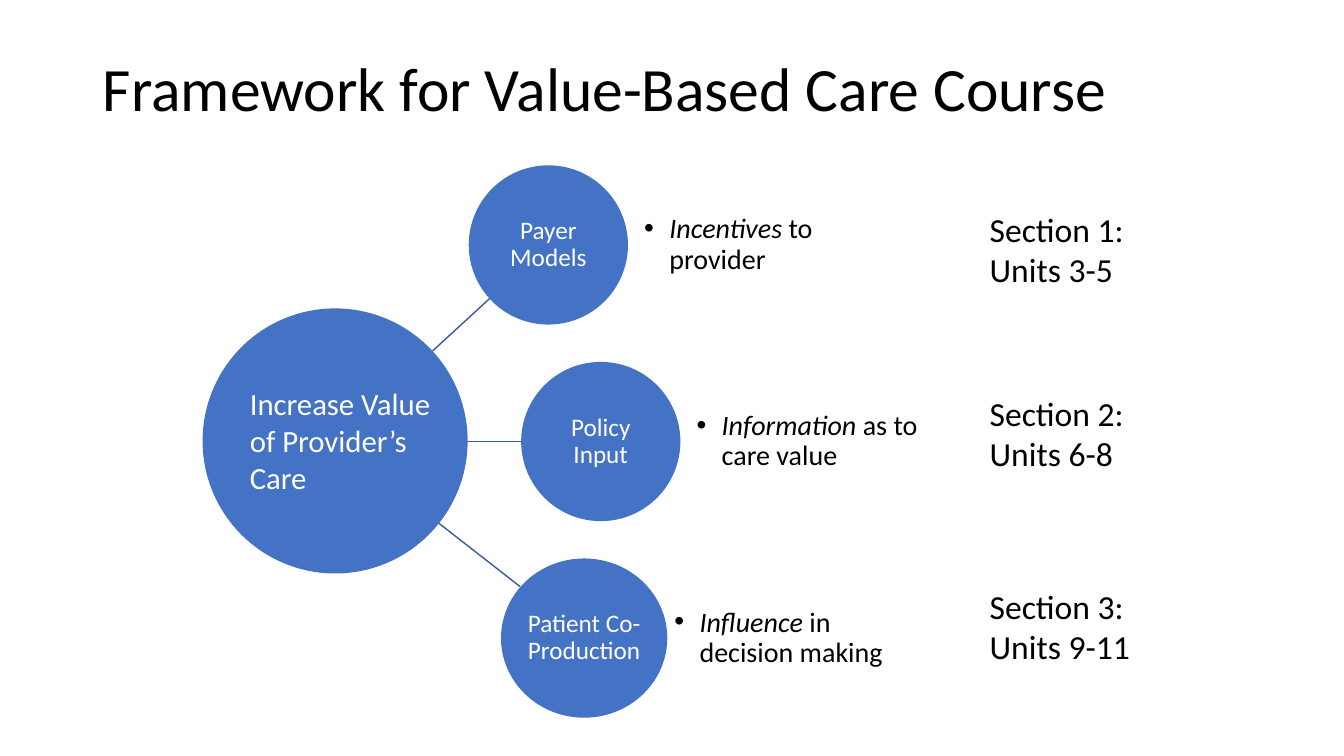
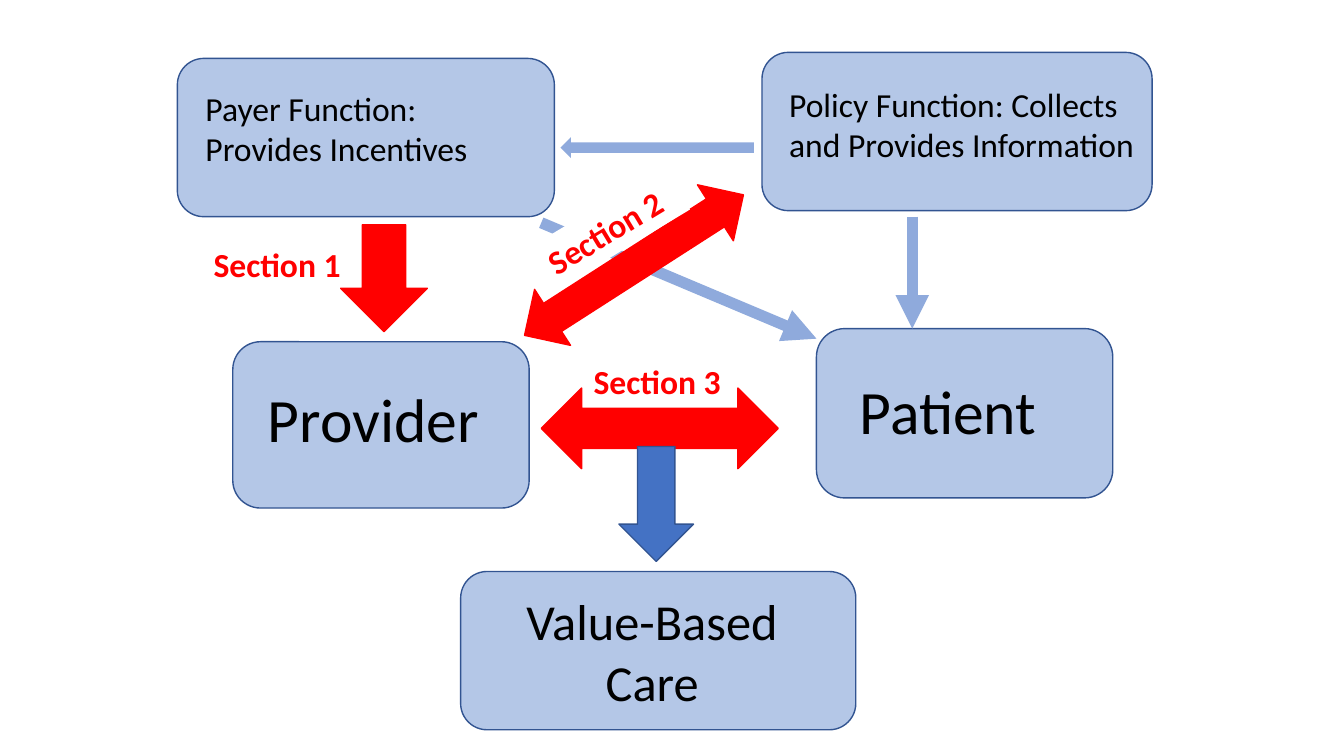
from lxml.etree import SubElement
from pptx import Presentation
from pptx.dml.color import RGBColor
from pptx.enum.shapes import MSO_CONNECTOR, MSO_SHAPE
from pptx.enum.text import MSO_ANCHOR, MSO_AUTO_SIZE, PP_ALIGN
from pptx.oxml.ns import qn
from pptx.util import Inches, Pt

BLACK, WHITE, RED = "000000", "FFFFFF", "FF0000"
BLUE, PALE, MID = "4472C4", "B4C7E7", "8FAADC"
EDGE, SPOKE = "325491", "365B9D"


def tint(code):
    return RGBColor.from_string(code)


def write(frame, text, size=24, color=BLACK, bold=False, lead="",
          align=PP_ALIGN.LEFT, anchor=MSO_ANCHOR.TOP, space=1.0,
          pad=None, bullet=False):
    frame.word_wrap = True
    frame.auto_size = MSO_AUTO_SIZE.NONE
    frame.vertical_anchor = anchor
    if pad is not None:
        frame.margin_left = frame.margin_right = Inches(pad)
        frame.margin_top = frame.margin_bottom = Inches(pad)
    for num, line in enumerate(text.split("\n")):
        para = frame.add_paragraph() if num else frame.paragraphs[0]
        para.alignment = align
        para.line_spacing = space
        para.space_before = Pt(0)
        for part, slant in ((lead, True), (line, False)):
            if part:
                run = para.add_run()
                run.text = part
                font = run.font
                font.name, font.size = "Calibri", Pt(size)
                font.bold, font.italic = bold, slant
                font.color.rgb = tint(color)
        if bullet:
            props = para._p.get_or_add_pPr()
            props.set("marL", str(Inches(0.25)))
            props.set("indent", str(Inches(-0.25)))
            SubElement(props, qn("a:buChar")).set("char", "•")


class Deck:
    def __init__(self):
        self.show = Presentation()
        self.show.slide_width = Inches(40) // 3
        self.show.slide_height = Inches(7.5)
        self.slide = None

    def page(self, layout):
        layouts = self.show.slide_layouts
        self.slide = self.show.slides.add_slide(layouts.get_by_name(layout))

    def holder(self, key, spot, text, **form):
        item = next(h for h in self.slide.placeholders
                    if h.placeholder_format.idx == key)
        item.left, item.top, item.width, item.height = map(Inches, spot)
        write(item.text_frame, text, anchor=MSO_ANCHOR.MIDDLE, space=0.9, **form)

    def prune(self):
        for item in list(self.slide.placeholders):
            if not item.text_frame.text:
                item.element.getparent().remove(item.element)

    def shape(self, kind, spot, fill, edge=None, turn=0):
        item = self.slide.shapes.add_shape(kind, *map(Inches, spot))
        item.shadow.inherit = False
        item.rotation = turn
        item.fill.solid()
        item.fill.fore_color.rgb = tint(fill)
        if edge:
            item.line.color.rgb = tint(edge)
            item.line.width = Pt(1)
        else:
            item.line.fill.background()
        return item

    def label(self, spot, text, **form):
        item = self.slide.shapes.add_textbox(*map(Inches, spot))
        write(item.text_frame, text, **form)

    def line(self, start, end, color, width=1, arrow=False):
        item = self.slide.shapes.add_connector(
            MSO_CONNECTOR.STRAIGHT, *map(Inches, start + end))
        item.line.color.rgb = tint(color)
        item.line.width = Pt(width)
        if arrow:
            tail = SubElement(item.line._get_or_add_ln(), qn("a:tailEnd"))
            tail.set("type", "triangle")
        SubElement(item._element.spPr, qn("a:effectLst"))


def frame_page(deck):
    deck.page("Comparison")
    deck.holder(0, (0.92, 0.18, 11.5, 1.45),
                "Framework for Value-Based Care Course", size=44)
    high = 1.58
    nodes = [
        (1, 4.65, 1.58, "Payer Models", 6.39, 2.37, "Incentives",
         " to provider", 2.02, "Section 1:\nUnits 3-5"),
        (2, 5.17, 1.58, "Policy Input", 6.91, 2.37, "Information",
         " as to care value", 3.85, "Section 2:\nUnits 6-8"),
        (4, 4.97, 1.65, "Patient Co-Production", 6.69, 2.47, "Influence",
         " in decision making", 5.76, "Section 3:\nUnits 9-11"),
    ]
    for rise, end in ((5.11, (5.16, 5.82)), (4.38, (5.17, 4.38)),
                      (3.52, (4.86, 2.96))):
        deck.line((4.25, rise), end, SPOKE)
    deck.shape(MSO_SHAPE.OVAL, (2.01, 3.06, 2.63, 2.63), BLUE)
    deck.label((2.38, 3.77, 2.25, 1.21), "Increase Value of Provider’s Care",
               size=22, color=WHITE)
    for row, node in enumerate(nodes):
        key, left, wide, name, x, span, lead, rest, y, part = node
        top = 1.64 + 1.95 * row
        disc = deck.shape(MSO_SHAPE.OVAL, (left, top, wide, high), BLUE)
        write(disc.text_frame, name, size=18, color=WHITE, pad=0.01,
              align=PP_ALIGN.CENTER, anchor=MSO_ANCHOR.MIDDLE, space=0.9)
        deck.holder(key, (x, top, span, high), rest, lead=lead, size=20,
                    pad=0, bullet=True)
        deck.label((9.72, y, 2.33, 0.91), part)
    deck.prune()


def flow_page(deck):
    deck.page("Blank")
    cards = [
        ((7.56, 0.52, 3.87, 1.57), (7.73, 0.78, 3.78, 0.91),
         "Policy Function: Collects and Provides Information", 24),
        ((2.31, 3.39, 2.94, 1.65), (2.56, 3.73, 2.6, 0.84), "Provider", 44),
        ((8.1, 3.26, 2.94, 1.68), (8.43, 3.65, 2.6, 0.84), "Patient", 44),
        ((4.57, 5.67, 3.92, 1.57), (4.74, 5.81, 3.46, 1.31),
         "Value-Based Care", 36),
        ((1.76, 0.58, 3.74, 1.57), (1.94, 0.82, 3.82, 0.91),
         "Payer Function:\nProvides Incentives", 24),
    ]
    for card, spot, text, size in cards:
        deck.shape(MSO_SHAPE.ROUNDED_RECTANGLE, card, PALE, EDGE)
        align = PP_ALIGN.CENTER if size == 36 else PP_ALIGN.LEFT
        deck.label(spot, text, size=size, align=align)
    deck.line((9.05, 2.15), (9.05, 3.26), MID, 8, True)
    deck.line((5.37, 2.21), (8.1, 3.36), MID, 8, True)
    both, down = MSO_SHAPE.LEFT_RIGHT_ARROW, MSO_SHAPE.DOWN_ARROW
    deck.shape(both, (5.37, 3.85, 2.35, 0.8), RED, RED)
    deck.shape(down, (6.14, 4.43, 0.74, 1.14), BLUE, EDGE)
    deck.shape(down, (3.38, 2.23, 0.86, 1.06), RED, RED)
    deck.shape(MSO_SHAPE.LEFT_ARROW, (5.56, 1.36, 1.92, 0.21), MID)
    deck.shape(both, (5, 2.3, 2.58, 0.66), RED, RED, 327.3)
    tag = deck.shape(MSO_SHAPE.RECTANGLE, (5.26, 2.02, 1.57, 0.5), WHITE,
                     turn=328.9)
    mark = {"color": RED, "bold": True}
    write(tag.text_frame, "Section 2", **mark)
    deck.label((2.02, 2.37, 2.26, 0.5), "Section 1", **mark)
    deck.label((5.79, 3.53, 2.26, 0.5), "Section 3", **mark)


def main():
    deck = Deck()
    frame_page(deck)
    flow_page(deck)
    deck.show.save("out.pptx")


if __name__ == "__main__":
    main()
